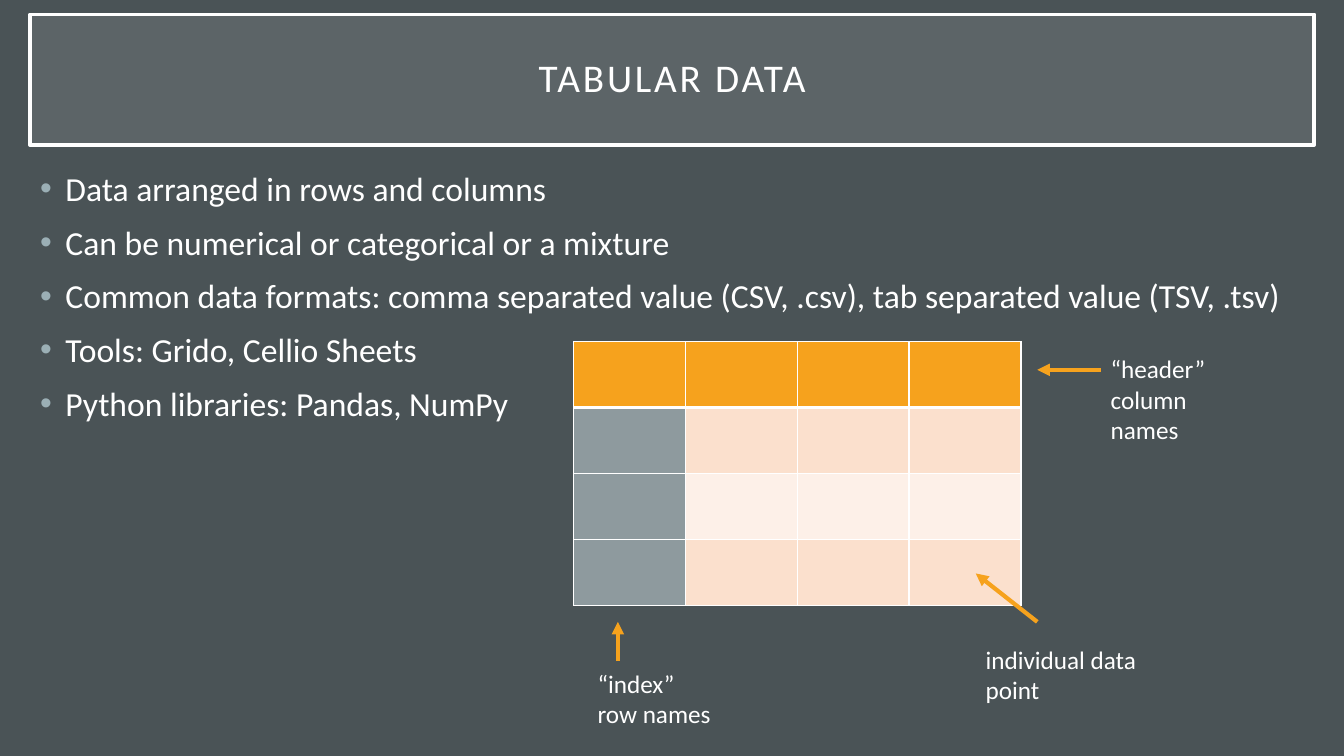
import pptx
import pptx.dml.color
import pptx.enum.shapes
import pptx.enum.text
import pptx.oxml
import pptx.oxml.ns
import pptx.util
from lxml import etree

Cm, Pt = pptx.util.Cm, pptx.util.Pt
RGBColor = pptx.dml.color.RGBColor

SLATE = RGBColor(0x4A, 0x53, 0x56)
WHITE = RGBColor(0xFF, 0xFF, 0xFF)
MIST = RGBColor(0x9B, 0xAF, 0xB5)
ORANGE = RGBColor(0xF6, 0xA2, 0x1D)
GREY = RGBColor(0x8E, 0x9A, 0x9E)
PEACH = RGBColor(0xFB, 0xE0, 0xCD)
CREAM = RGBColor(0xFD, 0xF0, 0xE8)
FONT = "Calibri"

TITLE = "TABULAR DATA"
BULLETS = [
    "Data arranged in rows and columns",
    "Can be numerical or categorical or a mixture",
    "Common data formats: comma separated value (CSV, .csv), tab separated value (TSV, .tsv)",
    "Tools: Grido, Cellio Sheets",
    "Python libraries: Pandas, NumPy",
]
# Lines of text, then left, top, width, height in cm
LABELS = [
    (["“header”", "column names"], (27.74, 8.79, 4.1, 2.55)),
    (["“index”", "row names"], (14.81, 16.71, 3.6, 1.8)),
    (["individual data point"], (24.59, 16.1, 5.5, 1.8)),
]
# Start x, y and end x, y in cm
ARROWS = [
    (27.74, 9.32, 26.14, 9.32),
    (15.57, 16.66, 15.57, 15.67),
    (26.14, 15.67, 24.59, 14.45),
]
MARGIN, WIDTH = 0.76, 32.36
TABLE_LEFT, TABLE_TOP = 14.45, 8.61
COLUMN_WIDTH, ROW_HEIGHT = 2.82, 1.66
CELL_FILLS = [[ORANGE] * 4] + [[GREY] + [band] * 3 for band in (PEACH, CREAM, PEACH)]


def add_child(parent, tag, **attributes):
    child = etree.SubElement(parent, pptx.oxml.ns.qn(tag))
    for name, value in attributes.items():
        child.set(name, str(value))
    return child


def add_span(para, text, size):
    span = para.add_run()
    span.text = text
    span.font.name = FONT
    span.font.size = Pt(size)
    span.font.color.rgb = WHITE
    return span


def add_lines(page, lines, place, size):
    """Add a wrapping text box with one paragraph per line."""
    frame = page.shapes.add_textbox(*map(Cm, place)).text_frame
    frame.word_wrap = True
    for index, line in enumerate(lines):
        para = frame.add_paragraph() if index else frame.paragraphs[0]
        add_span(para, line, size)
    return frame


def add_title(page):
    box = page.shapes.add_shape(pptx.enum.shapes.MSO_SHAPE.RECTANGLE,
                                Cm(MARGIN), Cm(0.36), Cm(WIDTH), Cm(3.3))
    box.shadow.inherit = False
    box.fill.solid()
    box.fill.fore_color.rgb = WHITE
    colour = box.fill._xPr.find(".//" + pptx.oxml.ns.qn("a:srgbClr"))
    add_child(colour, "a:alpha", val=10000)
    box.line.color.rgb = WHITE
    box.line.width = Pt(2.5)
    box.text_frame.vertical_anchor = pptx.enum.text.MSO_ANCHOR.MIDDLE
    para = box.text_frame.paragraphs[0]
    para.alignment = pptx.enum.text.PP_ALIGN.CENTER
    para.line_spacing = 0.9
    span = add_span(para, TITLE, 28)
    span.font._element.set("spc", "200")


def add_bullets(page):
    frame = add_lines(page, BULLETS, (MARGIN, 4.11, WIDTH, 13.94), 24)
    for para in frame.paragraphs:
        para.space_before = Pt(9.5)
        properties = para._p.get_or_add_pPr()
        properties.set("marL", str(Cm(0.64)))
        properties.set("indent", str(-Cm(0.64)))
        add_child(add_child(properties, "a:buClr"), "a:srgbClr", val=MIST)
        add_child(properties, "a:buFont", typeface="Arial")
        add_child(properties, "a:buChar", char="•")


def style_cell(cell, colour, top, bottom):
    """Set the borders, in points, and then the fill of a cell."""
    properties = cell._tc.get_or_add_tcPr()
    for side, width in (("L", 1), ("R", 1), ("T", top), ("B", bottom)):
        border = add_child(properties, "a:ln" + side, w=Pt(width))
        add_child(add_child(border, "a:solidFill"), "a:srgbClr", val=WHITE)
    cell.fill.solid()
    cell.fill.fore_color.rgb = colour


def add_data_table(page):
    rows, columns = len(CELL_FILLS), len(CELL_FILLS[0])
    table = page.shapes.add_table(rows, columns, Cm(TABLE_LEFT), Cm(TABLE_TOP),
                                  Cm(COLUMN_WIDTH * columns), Cm(ROW_HEIGHT * rows)).table
    table.horz_banding = False
    for column in table.columns:
        column.width = Cm(COLUMN_WIDTH)
    for index, fills in enumerate(CELL_FILLS):
        table.rows[index].height = Cm(ROW_HEIGHT)
        for cell, colour in zip(table.rows[index].cells, fills):
            style_cell(cell, colour, 3 if index == 1 else 1, 3 if index == 0 else 1)


def add_arrow(page, ends):
    arrow = page.shapes.add_connector(pptx.enum.shapes.MSO_CONNECTOR.STRAIGHT, *map(Cm, ends))
    arrow.line.color.rgb = ORANGE
    arrow.line.width = Pt(3)
    add_child(arrow.line._get_or_add_ln(), "a:tailEnd", type="triangle")
    add_child(arrow._element.spPr, "a:effectLst")


def main():
    deck = pptx.Presentation()
    deck.slide_width, deck.slide_height = Cm(33.87), Cm(19.05)
    page = deck.slides.add_slide(deck.slide_layouts[6])
    page.background.fill.solid()
    page.background.fill.fore_color.rgb = SLATE
    add_title(page)
    add_bullets(page)
    add_data_table(page)
    for ends in ARROWS:
        add_arrow(page, ends)
    for lines, place in LABELS:
        add_lines(page, lines, place, 18)
    deck.save("out.pptx")


if __name__ == "__main__":
    main()
